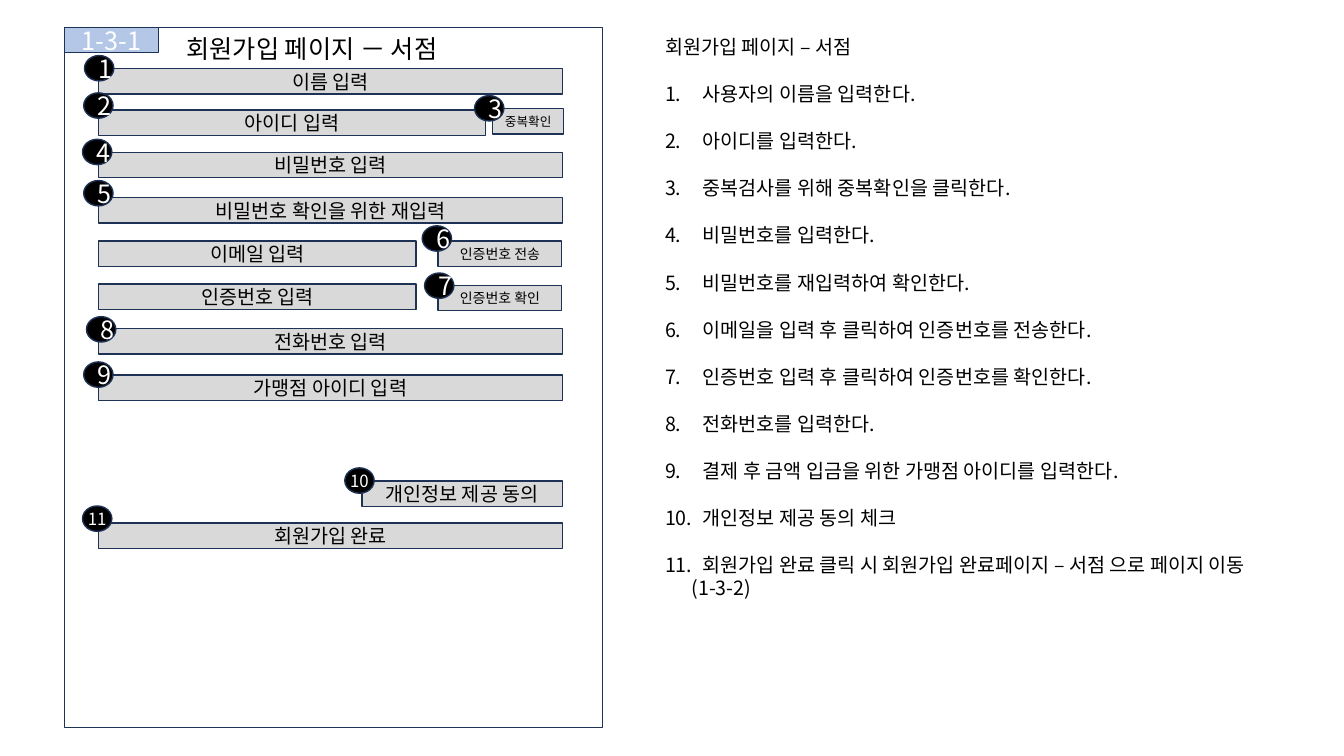
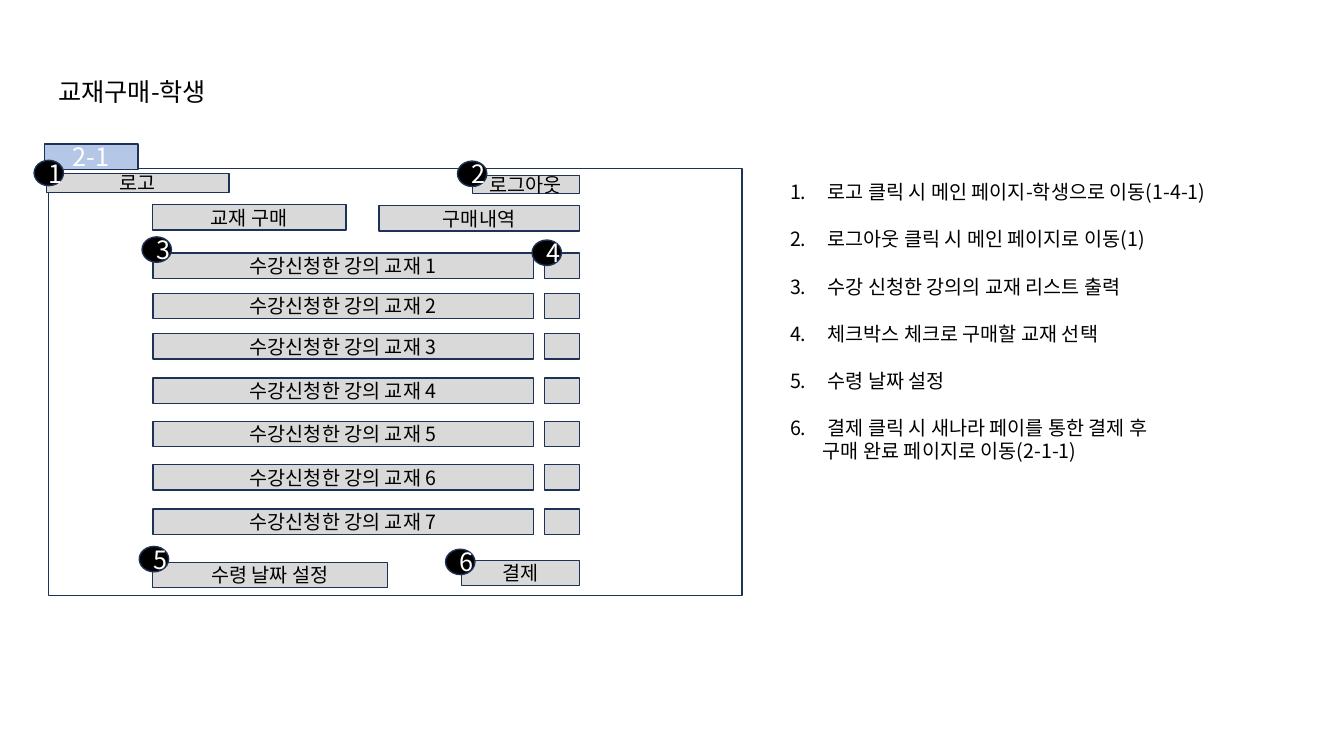
import pptx
import pptx.util
import pptx.dml.color
import pptx.enum.shapes
import pptx.enum.text
import pptx.oxml.ns
from lxml import etree

Cm, Pt = pptx.util.Cm, pptx.util.Pt
RGBColor = pptx.dml.color.RGBColor
Shape = pptx.enum.shapes.MSO_SHAPE
Align = pptx.enum.text.PP_ALIGN
Anchor = pptx.enum.text.MSO_ANCHOR

# Shared look
FONT = "Noto Sans CJK KR"
LEADING = 1.2
WHITE = RGBColor(0xFF, 0xFF, 0xFF)
BLACK = RGBColor(0x00, 0x00, 0x00)
NAVY = RGBColor(0x1E, 0x32, 0x56)
BLUE = RGBColor(0xB4, 0xC7, 0xE7)
GRAY = RGBColor(0xD9, 0xD9, 0xD9)
BAR_H = 0.64
DOT_W = 0.74
TAG_W = 2.36
HANG = 0.95


def add_sub(node, tag, **attrs):
    return etree.SubElement(node, pptx.oxml.ns.qn(tag), **attrs)


def write(para, text, size, color):
    """Add one run in the shared font and set the line height."""
    para.line_spacing = Pt(round(size * LEADING, 1))
    run = para.add_run()
    run.text = text
    run.font.size = Pt(size)
    run.font.name = FONT
    run.font.color.rgb = color
    add_sub(run.font._element, "a:ea", typeface=FONT)


def add_box(slide, kind, x, y, w, h, fill, text="", size=14, color=BLACK):
    box = slide.shapes.add_shape(kind, Cm(x), Cm(y), Cm(w), Cm(h))
    box.shadow.inherit = False
    box.fill.solid()
    box.fill.fore_color.rgb = fill
    box.line.color.rgb = NAVY
    box.line.width = Pt(1)
    if text:
        frame = box.text_frame
        frame.word_wrap = True
        frame.vertical_anchor = Anchor.MIDDLE
        para = frame.paragraphs[0]
        para.alignment = Align.CENTER
        write(para, text, size, color)
    return box


def add_bar(slide, text, x, y, w, size=14, h=BAR_H):
    add_box(slide, Shape.RECTANGLE, x, y, w, h, GRAY, text, size)


def add_dots(slide, spots):
    """Number the spots from 1; two digits are set smaller."""
    for num, (x, y) in enumerate(spots, 1):
        wide = num > 9
        dot = add_box(slide, Shape.OVAL, x, y, DOT_W, BAR_H, BLACK,
                      str(num), 12 if wide else 18, WHITE)
        if wide:
            frame = dot.text_frame
            frame.margin_left = frame.margin_right = 0
            frame.word_wrap = False


def add_panel(slide, code, panel, tag):
    add_box(slide, Shape.RECTANGLE, *panel, WHITE)
    add_box(slide, Shape.RECTANGLE, *tag, TAG_W, BAR_H, BLUE, code, 18, WHITE)


def add_frame(slide, x, y, w, h):
    frame = slide.shapes.add_textbox(Cm(x), Cm(y), Cm(w), Cm(h)).text_frame
    frame.word_wrap = True
    return frame


def add_title(slide, text, x, y, w):
    write(add_frame(slide, x, y, w, 1.02).paragraphs[0], text, 18, BLACK)


def add_notes(slide, area, items, tail, inset, head=""):
    """Numbered steps, with an optional heading and a closing line."""
    frame = add_frame(slide, *area)
    lines = [(head, "head")] if head else []
    lines += [(item, "step") for item in items] + [(tail, "tail")]
    for pos, (text, role) in enumerate(lines):
        para = frame.add_paragraph() if pos else frame.paragraphs[0]
        if pos and role == "step":
            para.space_before = Pt(16.8)
        write(para, text, 14, BLACK)
        props = para._p.get_or_add_pPr()
        if role == "step":
            props.set("marL", str(Cm(HANG)))
            props.set("indent", str(-Cm(HANG)))
            add_sub(props, "a:buFont", typeface=FONT)
            add_sub(props, "a:buAutoNum", type="arabicPeriod")
        elif role == "tail":
            props.set("marL", str(Cm(inset)))
            props.set("indent", "0")


def make_join(slide):
    add_panel(slide, "1-3-1", (1.63, 0.69, 13.56, 17.65), (1.63, 0.69))
    add_title(slide, "회원가입 페이지 － 서점", 4.45, 0.71, 9.22)

    # Input fields
    left, full, half = 2.49, 11.68, 8
    for text, y, w in (
        ("이름 입력", 1.73, full),
        ("아이디 입력", 2.77, 9.75),
        ("비밀번호 입력", 3.84, full),
        ("비밀번호 확인을 위한 재입력", 4.98, full),
        ("이메일 입력", 6.07, half),
        ("인증번호 입력", 7.16, half),
        ("전화번호 입력", 8.28, full),
        ("가맹점 아이디 입력", 9.45, full),
        ("회원가입 완료", 13.18, full),
    ):
        add_bar(slide, text, left, y, w)

    # Side buttons
    add_bar(slide, "중복확인", 12.42, 2.74, 1.78, 9)
    add_bar(slide, "인증번호 전송", 11.04, 6.07, 3.12, 10)
    add_bar(slide, "인증번호 확인", 11.04, 7.19, 3.12, 10)
    add_bar(slide, "개인정보 제공 동의", 9.12, 12.12, 5.05)

    add_dots(slide, (
        (2.13, 1.4), (2.11, 2.34), (11.96, 2.41), (2.08, 3.51),
        (2.11, 4.55), (10.64, 5.69), (10.7, 6.88), (2.18, 7.98),
        (2.11, 9.12), (8.69, 11.79), (2.08, 12.75),
    ))
    add_notes(slide, (16.51, 0.76, 17.07, 14.63), (
        "사용자의 이름을 입력한다.",
        "아이디를 입력한다.",
        "중복검사를 위해 중복확인을 클릭한다.",
        "비밀번호를 입력한다.",
        "비밀번호를 재입력하여 확인한다.",
        "이메일을 입력 후 클릭하여 인증번호를 전송한다.",
        "인증번호 입력 후 클릭하여 인증번호를 확인한다.",
        "전화번호를 입력한다.",
        "결제 후 금액 입금을 위한 가맹점 아이디를 입력한다.",
        "개인정보 제공 동의 체크",
        "회원가입 완료 클릭 시 회원가입 완료페이지 – 서점 으로 페이지 이동",
    ), "(1-3-2)", 0.67, "회원가입 페이지 – 서점")


def make_shop(slide):
    add_title(slide, "교재구매-학생", 1.22, 1.8, 6)
    add_panel(slide, "2-1", (1.22, 4.24, 17.48, 10.77), (1.12, 3.63))

    # Menu
    add_bar(slide, "로고", 1.17, 4.37, 4.6, h=0.48)
    add_bar(slide, "로그아웃", 11.91, 4.42, 2.69, h=0.46)
    add_bar(slide, "교재 구매", 3.84, 5.16, 4.88)
    add_bar(slide, "구매내역", 9.55, 5.18, 5.05)

    # Books with check boxes
    tops = (6.38, 7.39, 8.41, 9.53, 10.62, 11.71, 12.83)
    for num, y in enumerate(tops, 1):
        add_bar(slide, f"수강신청한 강의 교재 {num}", 3.86, y, 9.58)
        add_bar(slide, "", 13.72, y, 0.89)

    # Date and payment
    add_bar(slide, "수령 날짜 설정", 3.84, 14.17, 5.92)
    add_bar(slide, "결제", 11.63, 14.12, 2.97)

    add_dots(slide, (
        (0.86, 4.04), (11.53, 4.06), (3.58, 5.97),
        (13.41, 6.05), (3.51, 13.77), (11.23, 13.84),
    ))
    add_notes(slide, (19.66, 4.42, 11.94, 8.03), (
        "로고 클릭 시 메인 페이지-학생으로 이동(1-4-1)",
        "로그아웃 클릭 시 메인 페이지로 이동(1)",
        "수강 신청한 강의의 교재 리스트 출력",
        "체크박스 체크로 구매할 교재 선택",
        "수령 날짜 설정",
        "결제 클릭 시 새나라 페이를 통한 결제 후",
    ), "구매 완료 페이지로 이동(2-1-1)", 0.83)


def main():
    deck = pptx.Presentation()
    deck.slide_width, deck.slide_height = Cm(33.87), Cm(19.05)
    blank = deck.slide_layouts[6]
    for make in (make_join, make_shop):
        make(deck.slides.add_slide(blank))
    deck.save("out.pptx")


if __name__ == "__main__":
    main()
